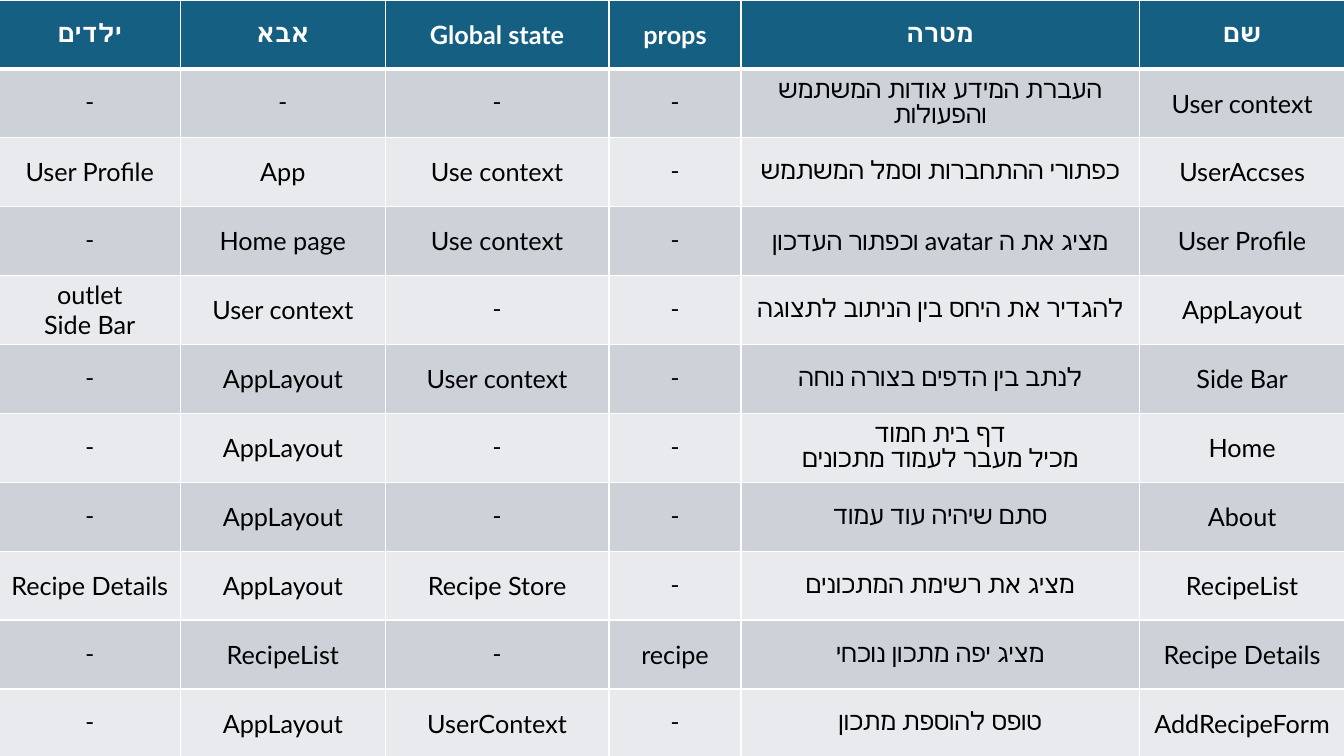
from lxml.etree import SubElement
from pptx import Presentation
from pptx.dml.color import RGBColor
from pptx.enum.text import MSO_ANCHOR, PP_ALIGN
from pptx.oxml.ns import qn
from pptx.util import Inches, Pt

WHITE = RGBColor(0xFF, 0xFF, 0xFF)
BLACK = RGBColor(0x00, 0x00, 0x00)
TEAL = RGBColor(0x15, 0x60, 0x82)
DARK_BAND = RGBColor(0xCC, 0xD2, 0xD8)
LIGHT_BAND = RGBColor(0xE8, 0xEA, 0xED)

COLUMN_WIDTHS = [1.8, 2.03, 2.22, 1.31, 3.95, 2.04]
ROW_HEIGHT = 7.52 / 11

COMPONENTS = [
    ["ילדים", "אבא", "Global state", "props", "מטרה", "שם"],
    ["-", "-", "-", "-", "העברת המידע אודות המשתמש והפעולות", "User context"],
    ["User Profile", "App", "Use context", "-", "כפתורי ההתחברות וסמל המשתמש", "UserAccses"],
    ["-", "Home page", "Use context", "-", "מציג את ה avatar וכפתור העדכון", "User Profile"],
    ["outlet\nSide Bar", "User context", "-", "-", "להגדיר את היחס בין הניתוב לתצוגה", "AppLayout"],
    ["-", "AppLayout", "User context", "-", "לנתב בין הדפים בצורה נוחה", "Side Bar"],
    ["-", "AppLayout", "-", "-", "דף בית חמוד\nמכיל מעבר לעמוד מתכונים", "Home"],
    ["-", "AppLayout", "-", "-", "סתם שיהיה עוד עמוד", "About"],
    ["Recipe Details", "AppLayout", "Recipe Store", "-", "מציג את רשימת המתכונים", "RecipeList"],
    ["-", "RecipeList", "-", "recipe", "מציג יפה מתכון נוכחי", "Recipe Details"],
    ["-", "AppLayout", "UserContext", "-", "טופס להוספת מתכון", "AddRecipeForm"],
]


class TablePage:
    font_name = "Lato"
    font_size = Pt(18)

    def __init__(self, deck):
        self.page = deck.slides.add_slide(deck.slide_layouts[6])

    def add_table(self, left, top, widths, row_height, rows):
        frame = self.page.shapes.add_table(
            len(rows), len(widths), Inches(left), Inches(top),
            Inches(sum(widths)), Inches(row_height * len(rows)))
        table = frame.table
        for column, width in zip(table.columns, widths):
            column.width = Inches(width)
        for row_index, texts in enumerate(rows):
            table.rows[row_index].height = Inches(row_height)
            for column_index, text in enumerate(texts):
                self.fill_cell(table.cell(row_index, column_index), text, row_index)

    def fill_cell(self, cell, text, row_index):
        is_header = row_index == 0
        self.set_borders(cell, top=3 if row_index == 1 else 1, bottom=3 if is_header else 1)
        cell.fill.solid()
        band = DARK_BAND if row_index % 2 else LIGHT_BAND
        cell.fill.fore_color.rgb = TEAL if is_header else band
        cell.vertical_anchor = MSO_ANCHOR.MIDDLE
        cell.margin_left = cell.margin_right = cell.margin_top = cell.margin_bottom = 0
        cell.text_frame.text = text
        for para in cell.text_frame.paragraphs:
            para.alignment = PP_ALIGN.CENTER
            para._p.get_or_add_pPr().set("rtl", "1")
            for span in para.runs:
                span.font.name = self.font_name
                span.font.size = self.font_size
                span.font.bold = is_header
                span.font.color.rgb = WHITE if is_header else BLACK

    def set_borders(self, cell, top, bottom):
        """Draw white borders; widths are in points and the sides are always 1."""
        properties = cell._tc.get_or_add_tcPr()
        for side, width in (("L", 1), ("R", 1), ("T", top), ("B", bottom)):
            line = SubElement(properties, qn(f"a:ln{side}"), w=str(Pt(width)))
            fill = SubElement(line, qn("a:solidFill"))
            SubElement(fill, qn("a:srgbClr"), val=str(WHITE))


def main():
    deck = Presentation()
    deck.slide_width = Inches(13.33)
    deck.slide_height = Inches(7.5)
    TablePage(deck).add_table(-0.01, 0, COLUMN_WIDTHS, ROW_HEIGHT, COMPONENTS)
    deck.save("out.pptx")


if __name__ == "__main__":
    main()
